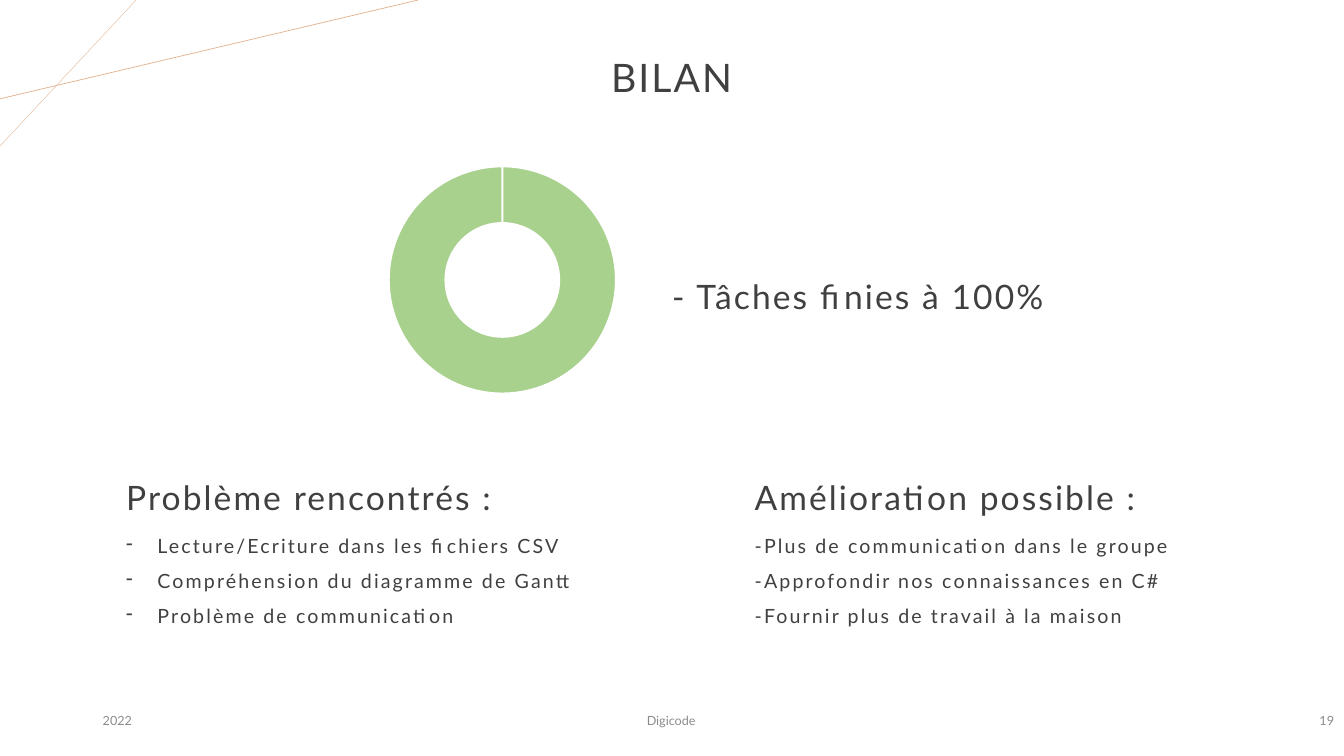
from lxml import etree
from pptx import Presentation
from pptx.chart.data import CategoryChartData
from pptx.dml.color import RGBColor
from pptx.enum.chart import XL_CHART_TYPE
from pptx.enum.shapes import MSO_CONNECTOR
from pptx.enum.text import MSO_ANCHOR, PP_ALIGN
from pptx.oxml.ns import qn
from pptx.util import Cm, Pt

DOUGHNUT = XL_CHART_TYPE.DOUGHNUT
STRAIGHT = MSO_CONNECTOR.STRAIGHT
MIDDLE, BOTTOM = MSO_ANCHOR.MIDDLE, MSO_ANCHOR.BOTTOM
LEFT, CENTER, RIGHT = PP_ALIGN.LEFT, PP_ALIGN.CENTER, PP_ALIGN.RIGHT

# Content
TITLE = "BILAN"
RESULT = "- Tâches finies à 100%"
TASKS = {"1": None, "2": 100}
COLUMNS = [
    ("Problème rencontrés :", True, [
        "Lecture/Ecriture dans les fichiers CSV",
        "Compréhension du diagramme de Gantt",
        "Problème de communication",
    ]),
    ("Amélioration possible :", False, [
        "-Plus de communication dans le groupe",
        "-Approfondir nos connaissances en C#",
        "-Fournir plus de travail à la maison",
    ]),
]
FOOTERS = [  # text, left, width, alignment
    ("2022", 2.34, 7.62, LEFT),
    ("Digicode", 16.05, 1.75, LEFT),
    ("19", 26.25, 7.62, RIGHT),
]
CORNER_LINES = [  # x on the top edge, y on the left edge, weight
    (3.43, 3.68, 0.25),
    (10.54, 2.49, 0.5),
]

THEME = {
    "font": "Lato",
    "text": "404040", "muted": "8C8C8C", "accent": "E2B18D", "gap": "FFFFFF",
    "tasks": ["FFE699", "A9D18E"],
    "title_size": 28, "heading_size": 24, "list_size": 14,
    "footer_size": 9, "chart_size": 10,
}

# Layout, in centimetres
PAGE_WIDTH, PAGE_HEIGHT = 33.87, 19.05
COLUMN_LEFT, COLUMN_STEP = 3.18, 15.84
HEADING_TOP, HEADING_WIDTH = 12.14, 10.41
LIST_TOP, LIST_WIDTH = 14.91, 13.51
BODY_HEIGHT, BODY_INSET = 1.04, 0.13
BULLET_INDENT = 0.79


def color(name):
    return RGBColor.from_string(THEME[name])


def add_text(page, area, lines, size, ink="text", align=LEFT, anchor=MIDDLE):
    """Add a text box with one paragraph per line and return its frame."""
    box = page.shapes.add_textbox(*map(Cm, area))
    frame = box.text_frame
    frame.word_wrap = True
    frame.vertical_anchor = anchor
    frame.text = "\n".join(lines)
    for para in frame.paragraphs:
        para.alignment = align
        for span in para.runs:
            span.font.name = THEME["font"]
            span.font.size = Pt(THEME[size])
            span.font.color.rgb = color(ink)
    return frame


def space_out(frame, before=0):
    """Apply the tight lines and wide letters of the main text."""
    for para in frame.paragraphs:
        para.line_spacing = 0.9
        para.space_before = Pt(before)
        for span in para.runs:
            span.font._element.set("spc", "150")


def add_body(page, left, top, width, lines, size):
    frame = add_text(page, (left, top, width, BODY_HEIGHT), lines, size,
                     anchor=BOTTOM)
    frame.margin_left = frame.margin_right = 0
    frame.margin_top = frame.margin_bottom = Cm(BODY_INSET)
    space_out(frame, before=10)
    return frame


def add_dashes(frame):
    for para in frame.paragraphs:
        properties = para._p.get_or_add_pPr()
        properties.set("marL", str(Cm(BULLET_INDENT)))
        properties.set("indent", str(-Cm(BULLET_INDENT)))
        etree.SubElement(properties, qn("a:buChar")).set("char", "-")


def add_corner_line(page, x, y, weight):
    line = page.shapes.add_connector(STRAIGHT, Cm(x), 0, 0, Cm(y))
    line.line.color.rgb = color("accent")
    line.line.width = Pt(weight)
    etree.SubElement(line._element.spPr, qn("a:effectLst"))


def add_task_chart(page):
    data = CategoryChartData()
    data.categories = list(TASKS)
    data.add_series("Series 1", list(TASKS.values()))
    area = map(Cm, (8.38, 3.84, 8.56, 6.43))
    chart = page.shapes.add_chart(DOUGHNUT, *area, data).chart
    chart.has_title = False
    chart.has_legend = False
    chart.font.name = THEME["font"]
    chart.font.size = Pt(THEME["chart_size"])
    plot = chart.plots[0]
    plot.vary_by_categories = True
    plot._element.find(qn("c:holeSize")).set("val", "75")
    for index, fill in enumerate(THEME["tasks"]):
        style = plot.series[0].points[index].format
        style.fill.solid()
        style.fill.fore_color.rgb = RGBColor.from_string(fill)
        style.line.color.rgb = color("gap")
        style.line.width = Pt(1.5)


def main():
    deck = Presentation()
    deck.slide_width, deck.slide_height = Cm(PAGE_WIDTH), Cm(PAGE_HEIGHT)
    page = deck.slides.add_slide(deck.slide_layouts[6])

    for corner_line in CORNER_LINES:
        add_corner_line(page, *corner_line)
    space_out(add_text(page, (5.23, 0.18, 23.39, 3.68), [TITLE],
                       "title_size", align=CENTER))
    add_task_chart(page)
    add_body(page, 16.94, 7.06, HEADING_WIDTH, [RESULT], "heading_size")

    for index, (heading, dashed, items) in enumerate(COLUMNS):
        left = COLUMN_LEFT + index * COLUMN_STEP
        add_body(page, left, HEADING_TOP, HEADING_WIDTH, [heading],
                 "heading_size")
        frame = add_body(page, left, LIST_TOP, LIST_WIDTH, items, "list_size")
        if dashed:
            add_dashes(frame)

    for text, left, width, align in FOOTERS:
        add_text(page, (left, 17.65, width, 1.02), [text], "footer_size",
                 ink="muted", align=align)

    deck.save("out.pptx")


if __name__ == "__main__":
    main()
